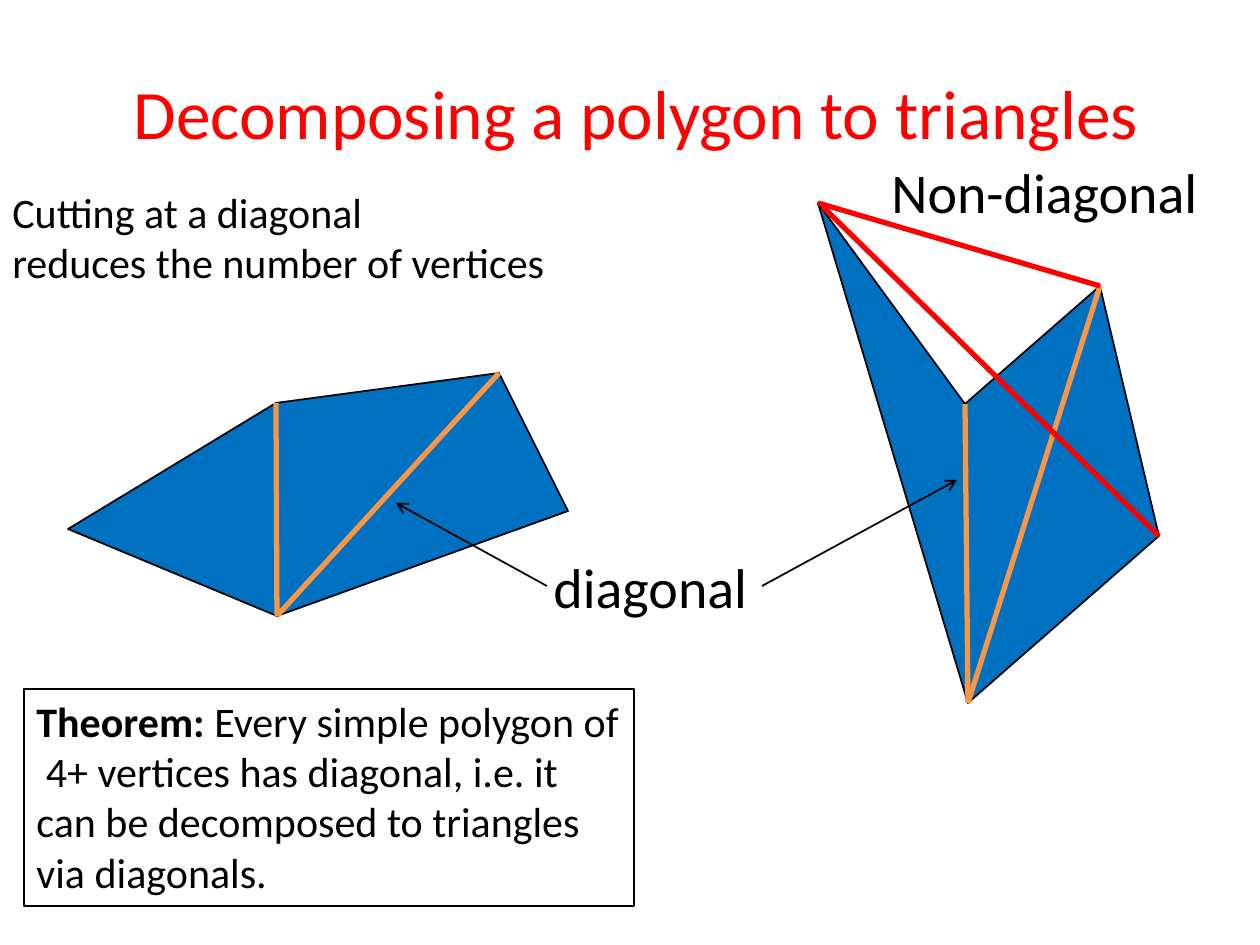
from lxml import etree
from pptx import Presentation, util as u
from pptx.dml.color import RGBColor
from pptx.enum import shapes, text
from pptx.oxml.ns import qn

PX = 914400 / 126
THEME = dict(font="Calibri", ink="000000", fill="0070C0", diagonal="F79646", accent="FF0000",
             title=39.6, label=32, body=24, thick=3, thin=1, frame=0.75)

# Content: lengths in px
TITLE = "Decomposing a polygon to triangles"
CLAIM = ["Cutting at a diagonal", "reduces the number of vertices"]
THEOREM = [[("Theorem: ", True),
            ("Every simple polygon of  4+ vertices has diagonal, i.e. it can be "
             "decomposed to triangles via diagonals.", False)]]
LABELS = [("diagonal", (541, 546, 222, 81)), ("Non-diagonal", (879, 151, 335, 81))]
ARROWS = [((547, 586), (396, 503)), ((762, 586), (957, 480))]

# Diagonals join vertices by index; other cuts are plain point pairs
POLYGONS = [
    dict(vertices=[(277, 616), (68, 529), (276, 403), (499, 373), (568, 511)],
         diagonals=[(0, 2), (3, 0)], non_diagonals=[]),
    dict(vertices=[(968, 703), (818, 203), (965, 404), (1100, 286), (1159, 536)],
         diagonals=[(0, 2), (3, 0)],
         non_diagonals=[((1100, 286), (818, 203)), ((1159, 536), (823, 207))]),
]


def emu(*lengths):
    return [u.Emu(round(n * PX)) for n in lengths]


def color(key):
    return RGBColor.from_string(THEME[key])


def write(frame, paragraphs, size="body", ink="ink", align=text.PP_ALIGN.LEFT,
          anchor=text.MSO_ANCHOR.TOP, wrap=True, grow=True):
    """Fill a text frame; a paragraph is a string or a list of (text, bold)."""
    frame.word_wrap = wrap
    frame.vertical_anchor = anchor
    frame.auto_size = (text.MSO_AUTO_SIZE.SHAPE_TO_FIT_TEXT if grow
                       else text.MSO_AUTO_SIZE.NONE)
    for i, content in enumerate(paragraphs):
        para = frame.add_paragraph() if i else frame.paragraphs[0]
        para.alignment = align
        for words, bold in [(content, False)] if isinstance(content, str) else content:
            run = para.add_run()
            run.text = words
            run.font.name = THEME["font"]
            run.font.size = u.Pt(THEME[size])
            run.font.bold = bold
            run.font.color.rgb = color(ink)


def outline(shape, ink, width):
    shape.line.color.rgb = color(ink)
    shape.line.width = u.Pt(THEME[width])


def draw_line(slide, start, end, ink, width, arrow=False):
    line = slide.shapes.add_connector(shapes.MSO_CONNECTOR.STRAIGHT, *emu(*start, *end))
    outline(line, ink, width)
    props = line._element.spPr
    if arrow:
        etree.SubElement(props.find(qn("a:ln")), qn("a:tailEnd"), type="arrow")
    etree.SubElement(props, qn("a:effectLst"))


def draw_polygon(slide, vertices, diagonals, non_diagonals):
    builder = slide.shapes.build_freeform(*vertices[0], scale=PX)
    builder.add_line_segments(vertices[1:], close=True)
    polygon = builder.convert_to_shape()
    polygon.shadow.inherit = False
    polygon.fill.solid()
    polygon.fill.fore_color.rgb = color("fill")
    outline(polygon, "ink", "thin")
    for a, b in diagonals:
        draw_line(slide, vertices[a], vertices[b], "diagonal", "thick")
    for start, end in non_diagonals:
        draw_line(slide, start, end, "accent", "thick")


def main():
    deck = Presentation()
    deck.slide_width, deck.slide_height = emu(1260, 945)
    slide = deck.slides.add_slide(deck.slide_layouts[5])

    # Polygons with their cuts
    for polygon in POLYGONS:
        draw_polygon(slide, **polygon)

    # Labels and pointers
    for words, place in LABELS:
        label = slide.shapes.add_textbox(*emu(*place))
        write(label.text_frame, [words], size="label", wrap=False)
    for start, end in ARROWS:
        draw_line(slide, start, end, "ink", "thin", arrow=True)

    # Framed theorem
    theorem = slide.shapes.add_shape(shapes.MSO_SHAPE.RECTANGLE, *emu(24, 689, 610, 217))
    theorem.shadow.inherit = False
    theorem.fill.background()
    outline(theorem, "ink", "frame")
    write(theorem.text_frame, THEOREM)

    # Title and claim
    title = slide.shapes.title
    title.left, title.top, title.width, title.height = emu(69, 33, 1134, 158)
    write(title.text_frame, [TITLE], size="title", ink="accent", grow=False,
          align=text.PP_ALIGN.CENTER, anchor=text.MSO_ANCHOR.MIDDLE)
    claim = slide.shapes.add_textbox(*emu(0, 180, 593, 115))
    write(claim.text_frame, CLAIM)

    deck.save("out.pptx")


if __name__ == "__main__":
    main()
